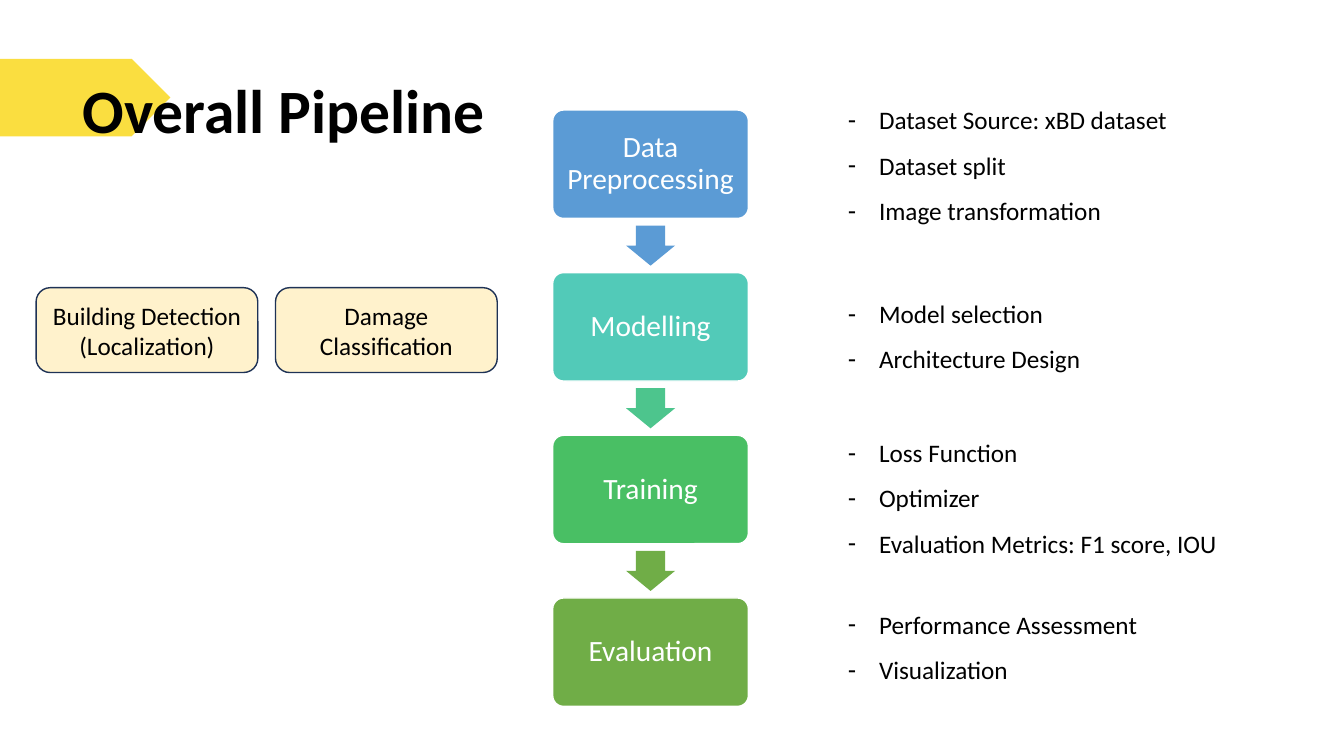
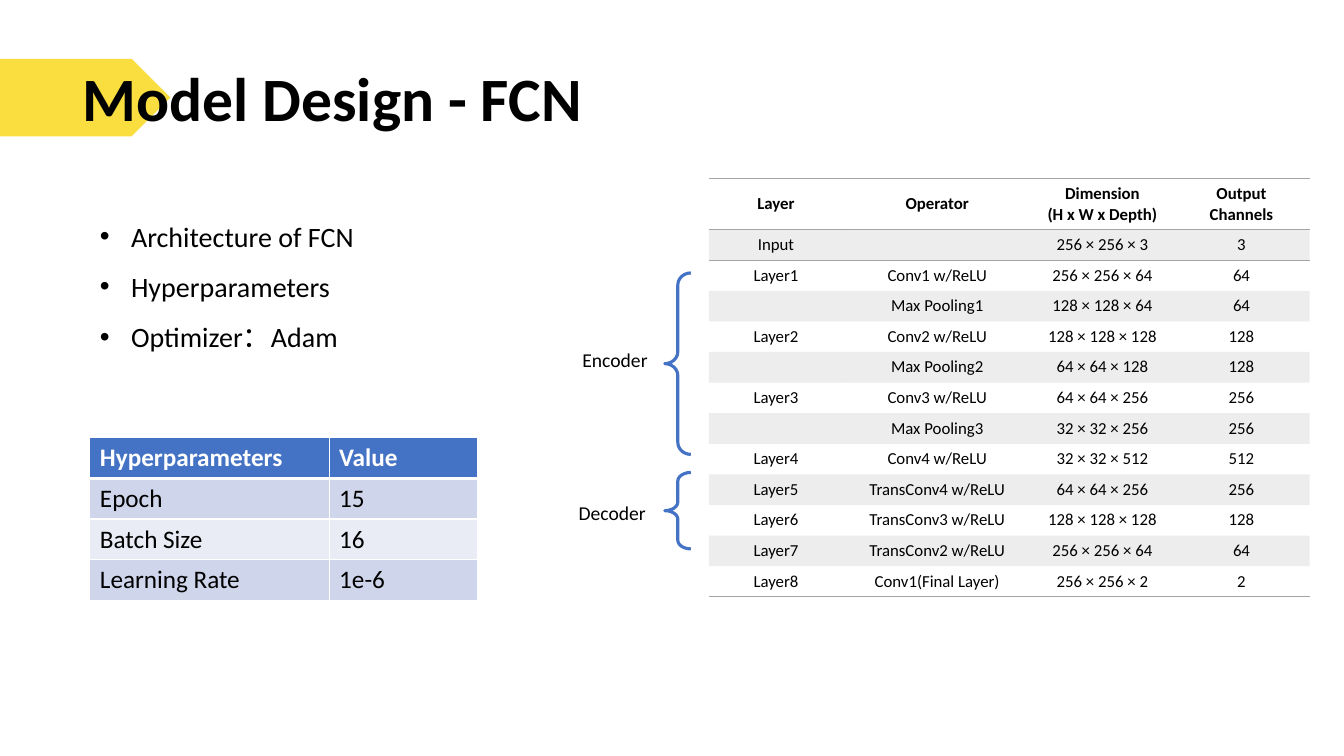
from dataclasses import dataclass

from lxml import etree
from pptx import Presentation
from pptx.dml.color import RGBColor
from pptx.enum.shapes import MSO_SHAPE
from pptx.enum.text import MSO_ANCHOR, PP_ALIGN
from pptx.oxml.ns import qn
from pptx.util import Emu, Inches, Pt

# Grid: 160 columns by 90 rows of square cells
CELL = Inches(1) // 12
COLUMNS, ROWS = 160, 90
TITLE_ONLY = 5

# Enum members
CENTER, LEFT = PP_ALIGN.CENTER, PP_ALIGN.LEFT
TOP, MIDDLE = MSO_ANCHOR.TOP, MSO_ANCHOR.MIDDLE
PENTAGON = MSO_SHAPE.PENTAGON
ROUNDED = MSO_SHAPE.ROUNDED_RECTANGLE
DOWN_ARROW = MSO_SHAPE.DOWN_ARROW
LEFT_BRACE = MSO_SHAPE.LEFT_BRACE

# Colours
BLACK = RGBColor(0x00, 0x00, 0x00)
WHITE = RGBColor(0xFF, 0xFF, 0xFF)
YELLOW = RGBColor(0xFA, 0xDE, 0x40)
CREAM = RGBColor(0xFF, 0xF2, 0xCC)
NAVY = RGBColor(0x1E, 0x32, 0x56)
BLUE = RGBColor(0x44, 0x72, 0xC4)
GREY = RGBColor(0xA5, 0xA5, 0xA5)
BAND_DARK = RGBColor(0xCF, 0xD5, 0xEA)
BAND_LIGHT = RGBColor(0xE9, 0xEB, 0xF5)
STEP_COLORS = [RGBColor(0x5B, 0x9B, 0xD5), RGBColor(0x52, 0xCA, 0xB8),
               RGBColor(0x49, 0xBF, 0x64), RGBColor(0x70, 0xAD, 0x47)]
ARROW_COLORS = [STEP_COLORS[0], RGBColor(0x4D, 0xC5, 0x8D), STEP_COLORS[3]]

# Text formats
FONT = "Calibri"
TITLE = {"size": Pt(44), "bold": True}
STEP = {"size": Pt(21), "color": WHITE}
BODY = {"size": Pt(18)}
LARGE = {"size": Pt(20)}
LABEL = {"size": Pt(14)}
SMALL = {"size": Pt(12)}
SMALL_HEAD = {"size": Pt(12), "bold": True}
HEAD = {"size": Pt(18), "bold": True, "color": WHITE}

NO_GRID_STYLE = "{2D5ABB26-0587-4C30-8999-92F81FD0307C}"

# Content
STEPS = ["Data Preprocessing", "Modelling", "Training", "Evaluation"]
LAYERS = [
    ("Layer", "Operator", "Dimension\n(H x W x Depth)", "Output Channels"),
    ("Input", "", "256 × 256 × 3", "3"),
    ("Layer1", "Conv1 w/ReLU", "256 × 256 × 64", "64"),
    ("", "Max Pooling1", "128 × 128 × 64", "64"),
    ("Layer2", "Conv2 w/ReLU", "128 × 128 × 128", "128"),
    ("", "Max Pooling2", "64 × 64 × 128", "128"),
    ("Layer3", "Conv3 w/ReLU", "64 × 64 × 256", "256"),
    ("", "Max Pooling3", "32 × 32 × 256", "256"),
    ("Layer4", "Conv4 w/ReLU", "32 × 32 × 512", "512"),
    ("Layer5", "TransConv4 w/ReLU", "64 × 64 × 256", "256"),
    ("Layer6", "TransConv3 w/ReLU", "128 × 128 × 128", "128"),
    ("Layer7", "TransConv2 w/ReLU", "256 × 256 × 64", "64"),
    ("Layer8", "Conv1(Final Layer)", "256 × 256 × 2", "2"),
]
HYPERPARAMETERS = [("Hyperparameters", "Value"), ("Epoch", "15"),
                   ("Batch Size", "16"), ("Learning Rate", "1e-6")]


@dataclass
class Box:
    """A region in grid columns and rows."""
    column: float
    row: float
    columns: float
    rows: float

    def lengths(self):
        return [Emu(round(value * CELL)) for value in
                (self.column, self.row, self.columns, self.rows)]


def write(frame, lines, style, align=LEFT, anchor=TOP, spacing=1.0):
    """Fill a text frame, one paragraph for each line."""
    frame.word_wrap = True
    frame.vertical_anchor = anchor
    for index, line in enumerate(lines):
        paragraph = frame.paragraphs[0] if index == 0 else frame.add_paragraph()
        paragraph.alignment = align
        paragraph.line_spacing = spacing
        if not line:
            end = etree.SubElement(paragraph._p, qn("a:endParaRPr"))
            end.set("sz", str(round(style["size"].pt * 100)))
            continue
        run = paragraph.add_run()
        run.text = line
        format_values = {"name": FONT, "bold": False, "color": BLACK, **style}
        run.font.color.rgb = format_values.pop("color")
        for name, value in format_values.items():
            setattr(run.font, name, value)


def add_text(slide, box, lines, style, **layout):
    frame = slide.shapes.add_textbox(*box.lengths()).text_frame
    write(frame, lines, style, **layout)
    return frame


def add_bullets(slide, box, lines, style, mark):
    frame = add_text(slide, box, lines, style, spacing=1.5)
    for paragraph in frame.paragraphs:
        properties = paragraph._p.get_or_add_pPr()
        properties.set("marL", str(Inches(0.31)))
        properties.set("indent", str(-Inches(0.31)))
        etree.SubElement(properties, qn("a:buFont")).set("typeface", "Arial")
        etree.SubElement(properties, qn("a:buChar")).set("char", mark)


def add_shape(slide, kind, box, fill=None, line=None, weight=1, adjustments=()):
    shape = slide.shapes.add_shape(kind, *box.lengths())
    shape.shadow.inherit = False
    for index, value in enumerate(adjustments):
        shape.adjustments[index] = value
    if fill is None:
        shape.fill.background()
    else:
        shape.fill.solid()
        shape.fill.fore_color.rgb = fill
    if line is None:
        shape.line.fill.background()
    else:
        shape.line.color.rgb = line
        shape.line.width = Pt(weight)
    return shape


def add_titled_slide(presentation, title, box):
    """Title in front of the yellow band."""
    slide = presentation.slides.add_slide(presentation.slide_layouts[TITLE_ONLY])
    band = add_shape(slide, PENTAGON, Box(0, 7, 20.28, 9.24), YELLOW)
    slide.shapes._spTree.insert(2, band._element)
    holder = slide.shapes.title
    holder.left, holder.top, holder.width, holder.height = box.lengths()
    write(holder.text_frame, [title], TITLE)
    return slide


def add_pipeline(slide, box):
    """Steps stacked with gaps of half a step, an arrow in each gap."""
    height = box.rows / (len(STEPS) * 1.5 - 0.5)
    arrow_width, arrow_height = box.columns * 0.25, height * 0.37
    for index, (name, color) in enumerate(zip(STEPS, STEP_COLORS)):
        top = box.row + index * height * 1.5
        step = add_shape(slide, ROUNDED, Box(box.column, top, box.columns, height),
                         color, WHITE, adjustments=[0.1])
        frame = step.text_frame
        for side in ("left", "right", "top", "bottom"):
            setattr(frame, f"margin_{side}", Inches(0.09))
        write(frame, [name], STEP, CENTER, MIDDLE, 0.9)
        if index < len(ARROW_COLORS):
            arrow_box = Box(box.column + (box.columns - arrow_width) / 2,
                            top + height * 1.25 - arrow_height / 2,
                            arrow_width, arrow_height)
            add_shape(slide, DOWN_ARROW, arrow_box, ARROW_COLORS[index],
                      adjustments=[0.6, 0.5])


def add_task(slide, box, name):
    task = add_shape(slide, ROUNDED, box, CREAM, NAVY)
    write(task.text_frame, [name], BODY, CENTER, MIDDLE)


def add_brace(slide, box, name, curve, label_box):
    add_shape(slide, LEFT_BRACE, box, line=BLUE, weight=2.25,
              adjustments=[curve, 0.5])
    add_text(slide, label_box, [name], LABEL)


def set_borders(cell, borders):
    """Draw cell edges; borders maps L, R, T, B to (colour, points)."""
    properties = cell._tc.get_or_add_tcPr()
    for side in "LRTB":
        if side in borders:
            color, weight = borders[side]
            line = etree.SubElement(properties, qn(f"a:ln{side}"), w=str(Pt(weight)))
            fill = etree.SubElement(line, qn("a:solidFill"))
            etree.SubElement(fill, qn("a:srgbClr"), val=str(color))


def add_grid_table(slide, box, rows, column_shares, row_shares, format_cell):
    """Table whose format_cell gives text layout, borders, fill and opacity."""
    table = slide.shapes.add_table(len(rows), len(rows[0]), *box.lengths()).table
    table.first_row = table.horz_banding = False
    table._tbl.tblPr.find(qn("a:tableStyleId")).text = NO_GRID_STYLE
    for column, share in zip(table.columns, column_shares):
        column.width = Emu(round(box.columns * CELL * share / sum(column_shares)))
    for row, share in zip(table.rows, row_shares):
        row.height = Emu(round(box.rows * CELL * share / sum(row_shares)))
    for row_index, texts in enumerate(rows):
        layout, borders, color, opacity = format_cell(row_index)
        for column_index, text in enumerate(texts):
            cell = table.cell(row_index, column_index)
            write(cell.text_frame, text.split("\n"), **layout)
            cell.vertical_anchor = layout.get("anchor", TOP)
            set_borders(cell, borders)
            if color is None:
                cell.fill.background()
                continue
            cell.fill.solid()
            cell.fill.fore_color.rgb = color
            if opacity < 100:
                tint = next(cell._tc.tcPr.find(qn("a:solidFill")).iterchildren())
                etree.SubElement(tint, qn("a:alpha"), val=str(opacity * 1000))


def format_layer_row(index):
    style = SMALL if index else SMALL_HEAD
    rule = (GREY, 1)
    borders = {0: {"T": rule, "B": rule}, 1: {"T": rule},
               len(LAYERS) - 1: {"B": rule}}.get(index, {})
    layout = {"style": style, "align": CENTER, "anchor": MIDDLE}
    return layout, borders, GREY if index % 2 else None, 20


def format_hyperparameter_row(index):
    borders = {side: (WHITE, 1) for side in "LRTB"}
    if index == 0:
        return {"style": HEAD}, {**borders, "B": (WHITE, 3)}, BLUE, 100
    if index == 1:
        borders["T"] = (WHITE, 3)
    return {"style": BODY}, borders, BAND_DARK if index % 2 else BAND_LIGHT, 100


def build_pipeline_slide(presentation):
    slide = add_titled_slide(presentation, "Overall Pipeline",
                             Box(8.64, 7.92, 56, 10.08))
    add_pipeline(slide, Box(65.8, 13.1, 23.3, 71))

    # Details beside each step
    details = [
        (10.08, ["Dataset Source: xBD dataset", "Dataset split",
                 "Image transformation"]),
        (33.12, ["Model selection", "Architecture Design"]),
        (49.68, ["Loss Function", "Optimizer",
                 "Evaluation Metrics: F1 score, IOU"]),
        (70.1, ["Performance Assessment", "Visualization"]),
    ]
    for row, lines in details:
        add_bullets(slide, Box(99.75, row, 56, 5.7 * len(lines)), lines, BODY, "-")

    # Modelling tasks
    for column, name in [(4.3, "Building Detection (Localization)"),
                         (32.8, "Damage Classification")]:
        add_task(slide, Box(column, 34.25, 26.4, 10.1), name)


def build_model_slide(presentation):
    slide = add_titled_slide(presentation, "Model Design - FCN",
                             Box(8.64, 6.48, 116.5, 10.08))
    add_grid_table(slide, Box(84.4, 21.25, 71.5, 49.2), LAYERS,
                   [1.33, 1.87, 1.41, 1.35], [5] + [3] * 12, format_layer_row)

    # Layer groups
    add_brace(slide, Box(79.15, 32.5, 3.1, 21.6), "Encoder", 0.46,
              Box(68.15, 40.8, 14.6, 4.1))
    add_brace(slide, Box(79.15, 56.25, 3.1, 9.1), "Decoder", 0.33,
              Box(67.7, 59.05, 14.6, 4.1))

    # Summary and settings
    add_bullets(slide, Box(10.7, 23.5, 56, 18.7),
                ["Architecture of FCN", "Hyperparameters", "Optimizer：Adam"],
                LARGE, "•")
    add_grid_table(slide, Box(10.7, 52.1, 46.2, 19.4), HYPERPARAMETERS,
                   [2.38, 1.48], [1] * 4, format_hyperparameter_row)


def main():
    presentation = Presentation()
    presentation.slide_width = Emu(COLUMNS * CELL)
    presentation.slide_height = Emu(ROWS * CELL)
    build_pipeline_slide(presentation)
    build_model_slide(presentation)
    presentation.save("out.pptx")


if __name__ == "__main__":
    main()
